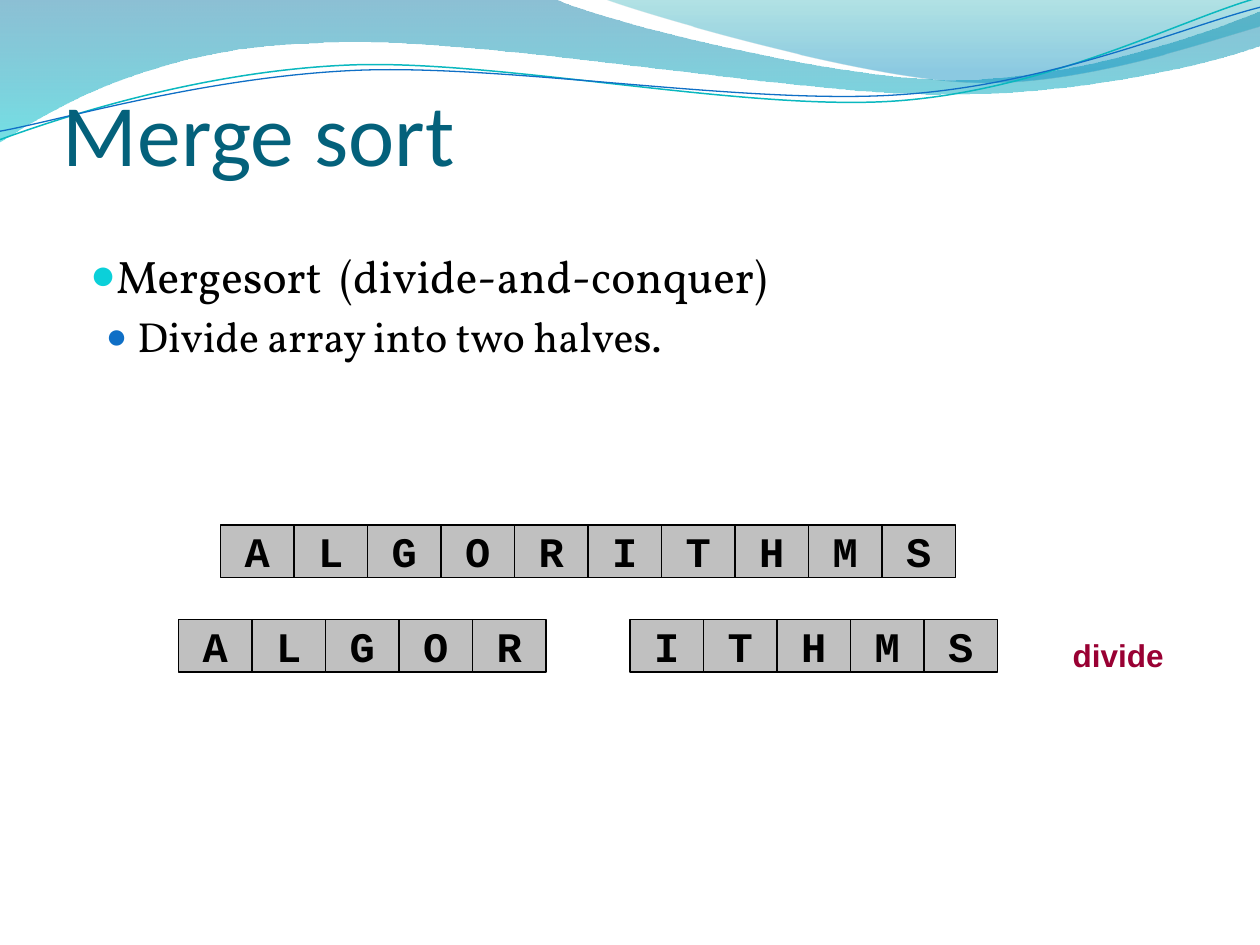
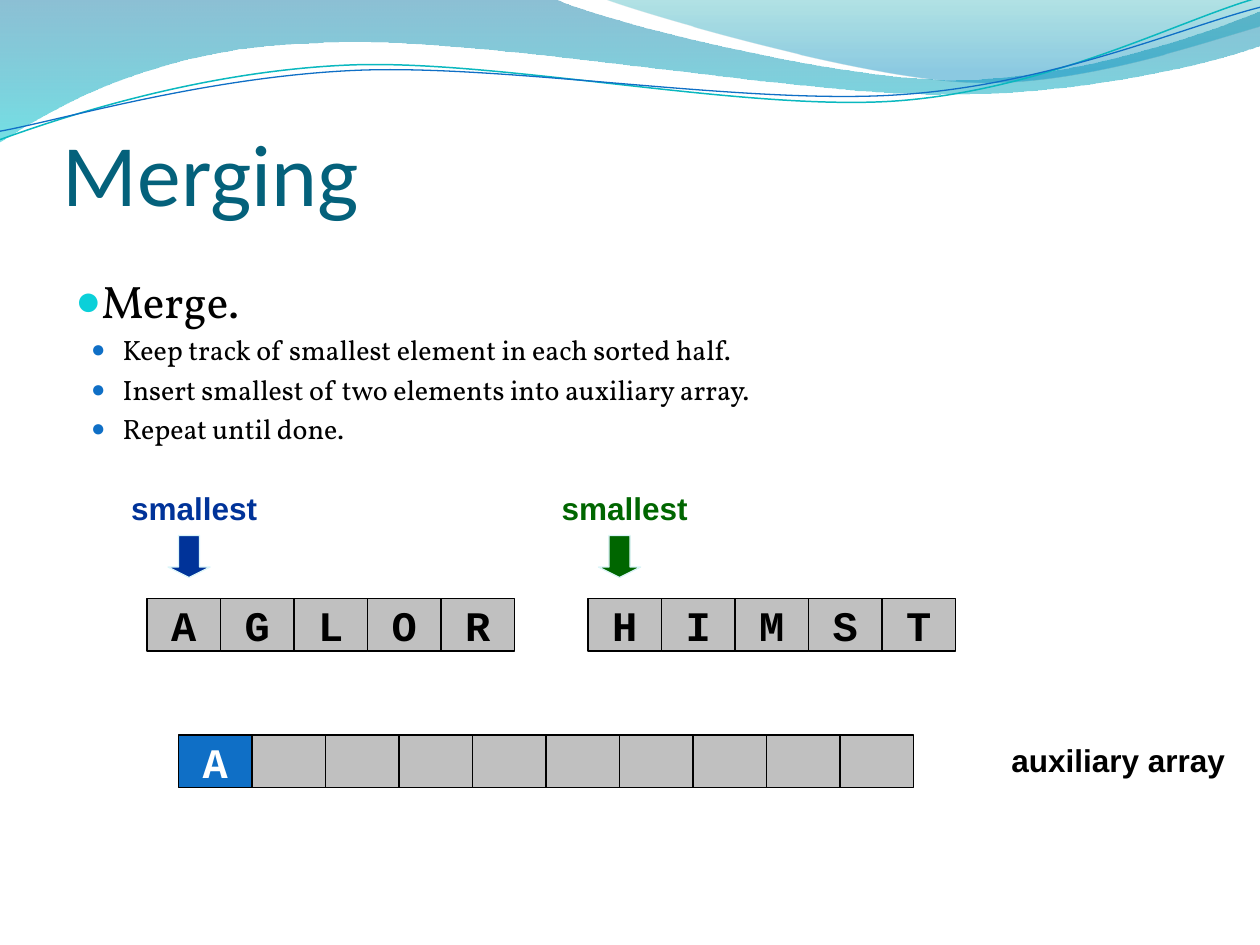
from dataclasses import dataclass

from lxml.etree import SubElement
from pptx import Presentation
from pptx.dml.color import RGBColor
from pptx.enum.shapes import MSO_SHAPE
from pptx.enum.text import MSO_ANCHOR, PP_ALIGN
from pptx.oxml.ns import qn
from pptx.util import Pt

EMU_PER_PX = 7620
PAGE_WIDTH, PAGE_HEIGHT = 1200, 900
CELL_WIDTH, CELL_HEIGHT = 70, 50
LABEL_HEIGHT = 48


@dataclass(frozen=True)
class Theme:
    title_font: str = "Calibri"
    body_font: str = "Vollkorn"
    label_font: str = "Arial"
    cell_font: str = "Courier New"
    title_size: int = 50
    topic_size: int = 26
    step_size: int = 24
    small_step_size: int = 16
    cell_size: int = 24
    label_size: int = 18
    title: str = "04617B"
    ink: str = "000000"
    white: str = "FFFFFF"
    cell: str = "C0C0C0"
    taken_cell: str = "0F6FC6"
    topic_bullet: str = "0BD0D9"
    step_bullet: str = "0F6FC6"
    divide: str = "990033"
    left_half: str = "003399"
    right_half: str = "006600"
    arrow_edge: str = "DBF5F9"
    teal_line: str = "0AB8BF"
    blue_line: str = "0F6FC6"
    band_stops: tuple = ((0, "0074A1", 45), (1, "00C6CF", 55))
    crest_stops: tuple = ((0, "00A1A9", 30), (0.8, "008BBF", 45))


THEME = Theme()

BAND_OUTLINE = (
    (0, 0), (528, -1),
    (571, 20, 797, 76, 910, 76), (1024, 76, 1150, 31, 1200, 11),
    (1201, 43),
    (1180, 53, 1044, 91, 895, 90), (746, 90, 458, 34, 308, 41),
    (155, 43, 55, 100, -1, 136),
)
CREST_OUTLINE = (
    (575, -1),
    (611, 13, 818, 74, 923, 78), (1027, 83, 1153, 38, 1200, 25),
    (1200, 0),
)
TEAL_CURVE = (
    (0, 133),
    (58, 112, 190, 68, 332, 62), (474, 56, 712, 107, 856, 96),
    (1000, 85, 1126, 18, 1198, -2),
)
BLUE_CURVE = (
    (0, 125),
    (56, 115, 197, 73, 340, 67), (484, 61, 716, 101, 860, 90),
    (1003, 80, 1129, 25, 1200, 7),
)


def px(length):
    return round(length * EMU_PER_PX)


def color(value):
    return RGBColor.from_string(value)


def add_outline(page, outline, close):
    start, *segments = outline
    points = [segment[index:index + 2] for segment in segments
              for index in range(0, len(segment), 2)]
    builder = page.shapes.build_freeform(*start, scale=float(EMU_PER_PX))
    builder.add_line_segments(points, close=close)
    shape = builder.convert_to_shape()
    shape.shadow.inherit = False
    lines = iter(list(shape._element.iter(qn("a:lnTo"))))
    for segment in segments:
        line = next(lines)
        if len(segment) == 6:
            line.addprevious(line.makeelement(qn("a:cubicBezTo")))
            curve = line.getprevious()
            for corner in (line, next(lines), next(lines)):
                curve.append(corner[0])
                corner.getparent().remove(corner)
    return shape


def add_wave(page, outline, stops):
    wave = add_outline(page, outline, True)
    wave.line.fill.background()
    wave.fill.gradient()
    wave.fill.gradient_angle = 270
    for stop, (position, shade, _) in zip(wave.fill.gradient_stops, stops):
        stop.position = position
        stop.color.rgb = color(shade)
    shades = wave._element.spPr.iter(qn("a:srgbClr"))
    for element, (_, _, opacity) in zip(list(shades), stops):
        SubElement(element, qn("a:alpha"), val=str(opacity * 1000))


def add_curve(page, outline, shade, width):
    curve = add_outline(page, outline, False)
    curve.fill.background()
    curve.line.color.rgb = color(shade)
    curve.line.width = Pt(width)


def add_span(para, text, font, size, shade, bold=False):
    span = para.add_run()
    span.text = text
    span.font.name = font
    span.font.size = Pt(size)
    span.font.bold = bold
    span.font.color.rgb = color(shade)


def add_box(page, left, top, width, height):
    box = page.shapes.add_textbox(px(left), px(top), px(width), px(height))
    box.text_frame.word_wrap = True
    return box.text_frame


def add_title(page, text, top):
    frame = add_box(page, 60, top, 1080, 150)
    frame.vertical_anchor = MSO_ANCHOR.BOTTOM
    frame.margin_left = frame.margin_right = frame.margin_bottom = 0
    add_span(frame.paragraphs[0], text, THEME.title_font, THEME.title_size, THEME.title)


def add_bullet(para, shade, percent, indent=0, hanging=0):
    properties = para._p.get_or_add_pPr()
    properties.set("marL", str(px(indent)))
    properties.set("indent", str(-px(hanging)))
    bullet_color = SubElement(properties, qn("a:buClr"))
    SubElement(bullet_color, qn("a:srgbClr"), val=shade)
    SubElement(properties, qn("a:buSzPct"), val=str(percent * 1000))
    SubElement(properties, qn("a:buFont"), typeface=THEME.label_font)
    SubElement(properties, qn("a:buChar"), char="●")


def add_body(page, area, topic, steps, step_size):
    frame = add_box(page, *area)
    para = frame.paragraphs[0]
    add_bullet(para, THEME.topic_bullet, 95)
    add_span(para, topic, THEME.body_font, THEME.topic_size, THEME.ink)
    for step in steps:
        para = frame.add_paragraph()
        para.level = 1
        add_bullet(para, THEME.step_bullet, 85, indent=45, hanging=30)
        para.space_before = Pt(step_size * 0.2)
        add_span(para, step, THEME.body_font, step_size, THEME.ink)


def add_label(page, text, left, top, width, shade):
    para = add_box(page, left, top, width, LABEL_HEIGHT).paragraphs[0]
    para.alignment = PP_ALIGN.CENTER
    add_span(para, text, THEME.label_font, THEME.label_size, shade, bold=True)


def add_preset(page, kind, left, top, width, height, fill, edge):
    shape = page.shapes.add_shape(kind, px(left), px(top), px(width), px(height))
    shape.shadow.inherit = False
    shape.fill.solid()
    shape.fill.fore_color.rgb = color(fill)
    shape.line.color.rgb = color(edge)
    shape.line.width = Pt(0.75)
    return shape


def add_cell(page, left, top, letter="", fill=THEME.cell, ink=THEME.ink):
    cell = add_preset(page, MSO_SHAPE.RECTANGLE, left, top, CELL_WIDTH, CELL_HEIGHT,
                      fill, THEME.ink)
    if letter:
        frame = cell.text_frame
        frame.word_wrap = False
        frame.vertical_anchor = MSO_ANCHOR.MIDDLE
        para = frame.paragraphs[0]
        para.alignment = PP_ALIGN.CENTER
        add_span(para, letter, THEME.cell_font, THEME.cell_size, ink, bold=True)


def add_array(page, letters, left, top):
    for index, letter in enumerate(letters):
        add_cell(page, left + index * CELL_WIDTH, top, letter)


def add_smallest_marker(page, left, shade):
    add_label(page, "smallest", left, 460, 250, shade)
    arrow = add_preset(page, MSO_SHAPE.DOWN_ARROW, left + 100, 510, 40, 40,
                       shade, THEME.arrow_edge)
    arrow.adjustments[1] = 0.25


def add_page(deck, title, title_top):
    page = deck.slides.add_slide(deck.slide_layouts[6])
    add_wave(page, BAND_OUTLINE, THEME.band_stops)
    add_wave(page, CREST_OUTLINE, THEME.crest_stops)
    add_curve(page, TEAL_CURVE, THEME.teal_line, 0.85)
    add_curve(page, BLUE_CURVE, THEME.blue_line, 0.75)
    add_title(page, title, title_top)
    return page


def add_merge_sort_page(deck):
    page = add_page(deck, "Merge sort", 25)
    add_body(page, (74, 230, 1050, 252), "Mergesort  (divide-and-conquer)",
             ["Divide array into two halves."], THEME.step_size)
    add_array(page, "ALGORITHMS", 210, 500)
    add_label(page, "divide", 970, 600, 190, THEME.divide)
    add_array(page, "ALGOR", 170, 590)
    add_array(page, "ITHMS", 600, 590)


def add_merging_page(deck):
    page = add_page(deck, "Merging", 63)
    add_body(page, (60, 254, 1080, 576), "Merge.", [
        "Keep track of smallest element in each sorted half.",
        "Insert smallest of two elements into auxiliary array.",
        "Repeat until done.",
    ], THEME.small_step_size)
    add_label(page, "auxiliary array", 950, 700, 230, THEME.ink)
    add_smallest_marker(page, 60, THEME.left_half)
    add_smallest_marker(page, 470, THEME.right_half)
    add_array(page, "AGLOR", 140, 570)
    add_array(page, "HIMST", 560, 570)
    add_array(page, [""] * 9, 170 + CELL_WIDTH, 700)
    add_cell(page, 170, 700, "A", THEME.taken_cell, THEME.white)


def main():
    deck = Presentation()
    deck.slide_width = px(PAGE_WIDTH)
    deck.slide_height = px(PAGE_HEIGHT)
    add_merge_sort_page(deck)
    add_merging_page(deck)
    deck.save("out.pptx")


if __name__ == "__main__":
    main()
